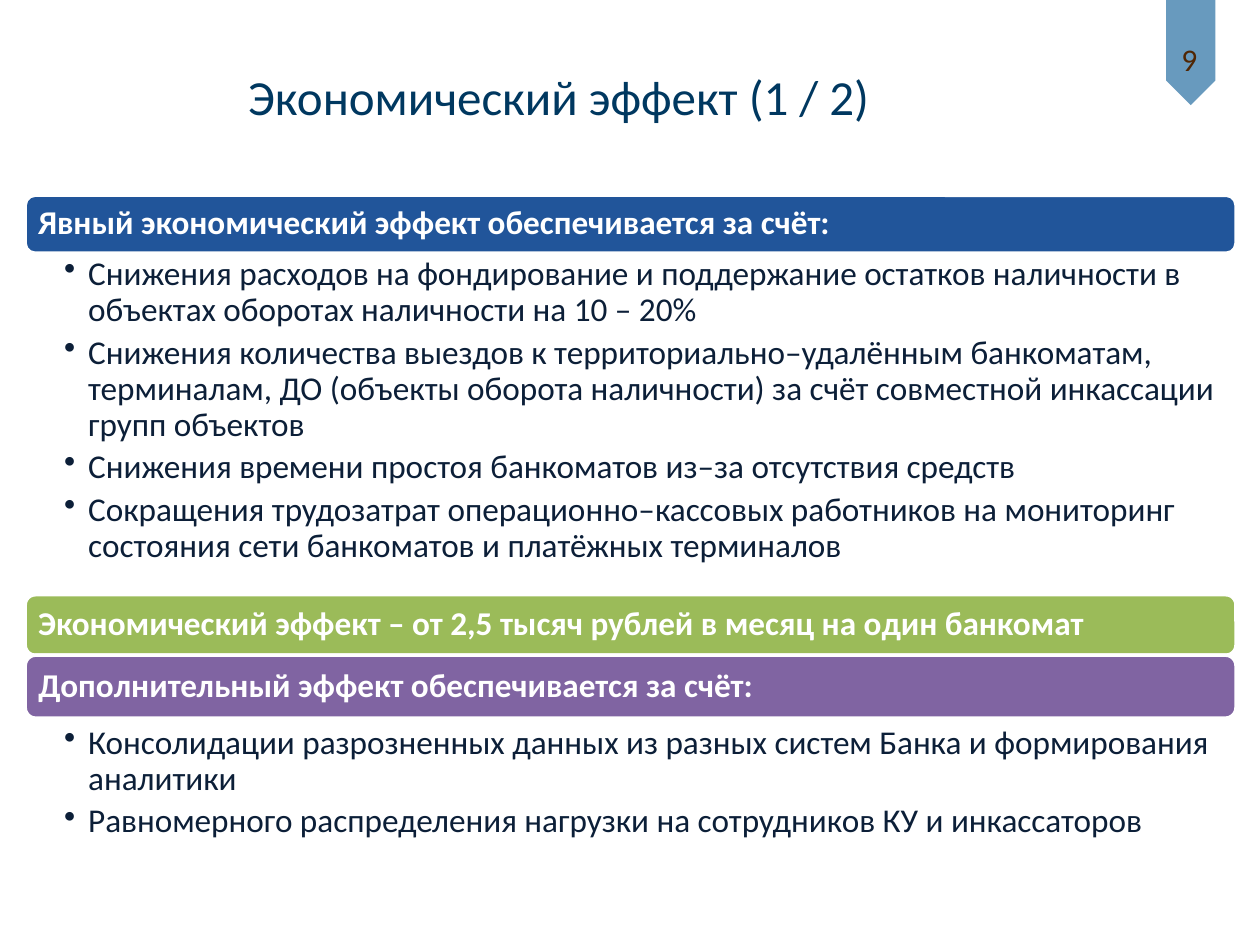
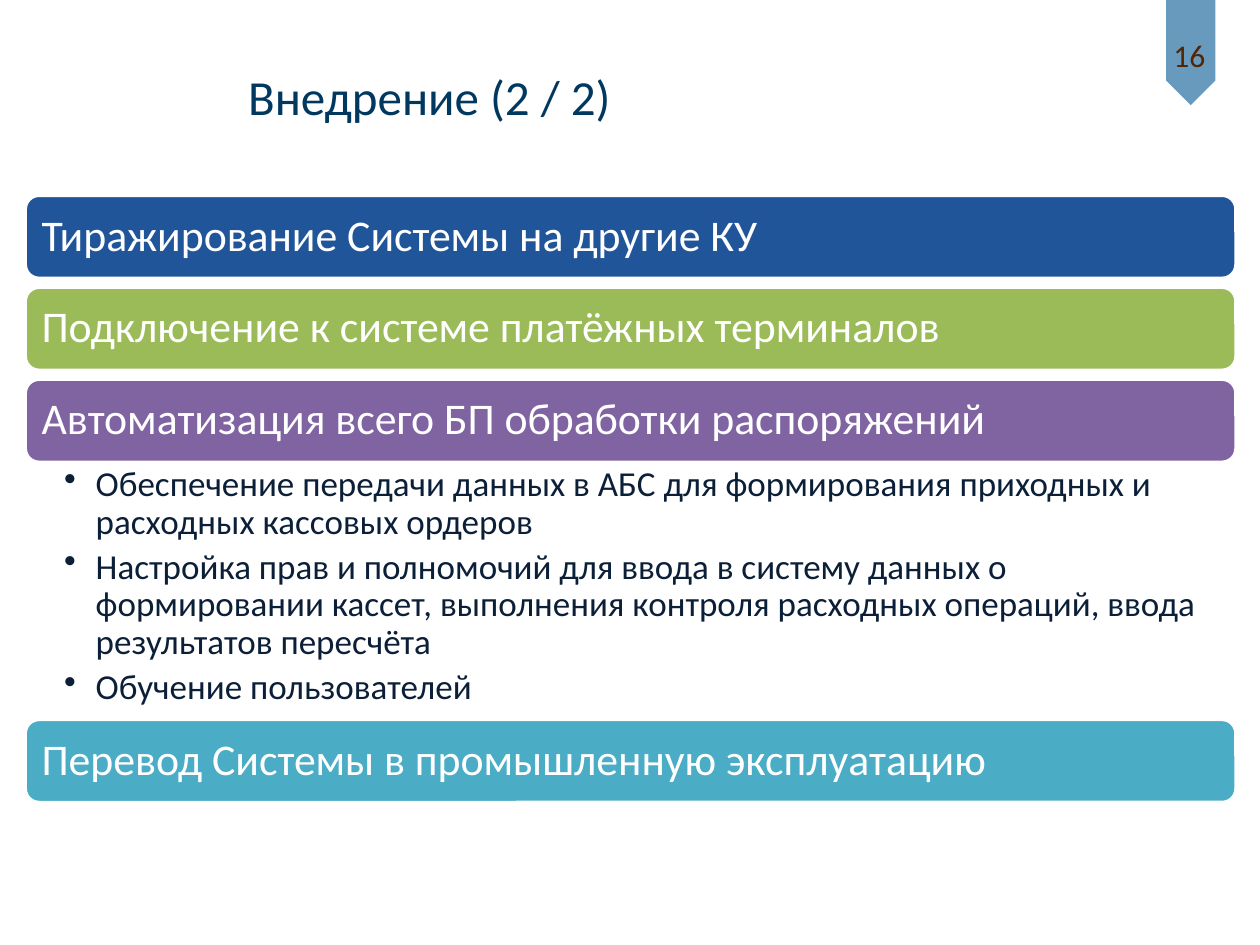
from dataclasses import dataclass

from lxml import etree
from pptx import Presentation
from pptx.dml.color import RGBColor
from pptx.enum.shapes import MSO_SHAPE
from pptx.enum.text import MSO_ANCHOR, PP_ALIGN
from pptx.oxml.ns import qn
from pptx.util import Inches, Pt

ROUNDED = MSO_SHAPE.ROUNDED_RECTANGLE
PENTAGON = MSO_SHAPE.PENTAGON
TOP, MIDDLE = MSO_ANCHOR.TOP, MSO_ANCHOR.MIDDLE
LEFT, CENTER = PP_ALIGN.LEFT, PP_ALIGN.CENTER


@dataclass(frozen=True)
class Theme:
    """Colours, type sizes and spacing shared by the slides."""
    font: str = "Calibri"
    title: str = "003860"
    body: str = "0C1F38"
    white: str = "FFFFFF"
    ribbon: str = "689ABE"
    number: str = "502604"
    blue: str = "21559A"
    green: str = "9BBB59"
    purple: str = "8064A2"
    teal: str = "4BACC6"
    title_size: int = 28
    number_size: int = 18
    line_spacing: float = 0.9
    bullet_gap: float = 0.2
    left: float = 0.2
    width: float = 9.61
    top: float = 1.55


@dataclass(frozen=True)
class ListStyle:
    """Type sizes and insets of the bars and bullets on one slide."""
    bar_size: int
    bar_bold: bool
    bar_inset: float
    bullet_size: int
    bullet_indent: float
    right_inset: float


@dataclass(frozen=True)
class Section:
    """A coloured bar, the gap below it and its bullets."""
    color: str
    heading: str
    height: float
    gap: float = 0
    bullets: tuple = ()
    bullets_height: float = 0


THEME = Theme()
COMPACT = ListStyle(19, True, 0.08, 19, 0.19, 0.15)
LARGE = ListStyle(25, False, 0.1, 20, 0.25, 0.19)

EFFECT_SECTIONS = (
    Section(THEME.blue, "Явный экономический эффект обеспечивается за счёт:", 0.46, 0, (
        "Снижения расходов на фондирование и поддержание остатков наличности в "
        "объектах оборотах наличности на 10 – 20%",
        "Снижения количества выездов к территориально–удалённым банкоматам, "
        "терминалам, ДО (объекты оборота наличности) за счёт совместной инкассации "
        "групп объектов",
        "Снижения времени простоя банкоматов из–за отсутствия средств",
        "Сокращения трудозатрат операционно–кассовых работников на мониторинг "
        "состояния сети банкоматов и платёжных терминалов",
    ), 2.71),
    Section(THEME.green,
            "Экономический эффект – от 2,5 тысяч рублей в месяц на один банкомат", 0.48),
    Section(THEME.purple, "Дополнительный эффект обеспечивается за счёт:", 0.5, 0.03, (
        "Консолидации разрозненных данных из разных систем Банка и формирования "
        "аналитики",
        "Равномерного распределения нагрузки на сотрудников КУ и инкассаторов",
    ), 1),
)

ROLLOUT_SECTIONS = (
    Section(THEME.blue, "Тиражирование Системы на другие КУ", 0.66, 0.07),
    Section(THEME.green, "Подключение к системе платёжных терминалов", 0.66, 0.07),
    Section(THEME.purple, "Автоматизация всего БП обработки распоряжений", 0.66, 0, (
        "Обеспечение передачи данных в АБС для формирования приходных и "
        "расходных кассовых ордеров",
        "Настройка прав и полномочий для ввода в систему данных о "
        "формировании кассет, выполнения контроля расходных операций, ввода "
        "результатов пересчёта",
        "Обучение пользователей",
    ), 2.04),
    Section(THEME.teal, "Перевод Системы в промышленную эксплуатацию", 0.66),
)


def set_frame(shape, insets, anchor):
    """Wrap the text and set its left, top, right and bottom insets."""
    frame = shape.text_frame
    frame.word_wrap = True
    frame.vertical_anchor = anchor
    frame.margin_left, frame.margin_top, frame.margin_right, frame.margin_bottom = map(
        Inches, insets)
    return frame


def write(para, text, size, color, bold=False, align=LEFT):
    """Fill a paragraph and format its runs."""
    para.text = text
    para.alignment = align
    for span in para.runs:
        span.font.name = THEME.font
        span.font.size = Pt(size)
        span.font.bold = bold
        span.font.color.rgb = RGBColor.from_string(color)


def add_box(page, left, top, width, height, insets, anchor=TOP):
    """Add a text box and return its text frame."""
    box = page.shapes.add_textbox(*map(Inches, (left, top, width, height)))
    return set_frame(box, insets, anchor)


def add_filled(page, kind, left, top, width, height, color):
    """Add a preset shape with a plain fill and no shadow."""
    shape = page.shapes.add_shape(kind, *map(Inches, (left, top, width, height)))
    shape.shadow.inherit = False
    shape.fill.solid()
    shape.fill.fore_color.rgb = RGBColor.from_string(color)
    return shape


def add_header(page, title, number, number_top):
    """Add the page ribbon, the title and the page number."""
    ribbon = add_filled(page, PENTAGON, 9.03, 0.22, 0.84, 0.39, THEME.ribbon)
    ribbon.rotation = 90
    ribbon.line.fill.background()
    frame = add_box(page, 0, 0.21, 10, 1.1, (1.97, 0.05, 0.39, 0.05), MIDDLE)
    write(frame.paragraphs[0], title, THEME.title_size, THEME.title)
    frame = add_box(page, 9.17, number_top, 0.54, 0.4, (0.1, 0.05, 0.1, 0.05))
    write(frame.paragraphs[0], number, THEME.number_size, THEME.number, align=CENTER)


def add_bar(page, section, top, style):
    """Add a rounded bar with its heading."""
    bar = add_filled(page, ROUNDED, THEME.left, top, THEME.width, section.height,
                     section.color)
    bar.line.color.rgb = RGBColor.from_string(THEME.white)
    bar.line.width = Pt(2)
    para = set_frame(bar, (style.bar_inset,) * 4, MIDDLE).paragraphs[0]
    para.line_spacing = THEME.line_spacing
    write(para, section.heading, style.bar_size, THEME.white, style.bar_bold)


def set_bullet(para, indent):
    """Give a paragraph a round bullet with a hanging indent."""
    properties = para._p.get_or_add_pPr()
    properties.set("marL", str(Inches(indent)))
    properties.set("indent", str(-Inches(indent)))
    etree.SubElement(properties, qn("a:buChar")).set("char", "•")


def add_bullets(page, section, top, style):
    """Add the bulleted text that belongs to a bar."""
    frame = add_box(page, THEME.left, top, THEME.width, section.bullets_height,
                    (0.31, 0.03, style.right_inset, 0.03))
    for index, text in enumerate(section.bullets):
        para = frame.add_paragraph() if index else frame.paragraphs[0]
        set_bullet(para, style.bullet_indent)
        para.line_spacing = THEME.line_spacing
        para.space_after = Pt(THEME.bullet_gap * style.bullet_size)
        write(para, text, style.bullet_size, THEME.body)


def add_sections(page, sections, style):
    """Stack the sections from the top of the content area."""
    top = THEME.top
    for section in sections:
        add_bar(page, section, top, style)
        top += section.height + section.gap
        if section.bullets:
            add_bullets(page, section, top, style)
            top += section.bullets_height


def main():
    """Build and save the two slides."""
    deck = Presentation()
    deck.slide_width, deck.slide_height = Inches(10), Inches(7.5)
    pages = (
        ("Экономический эффект (1 / 2)", "9", 0.27, EFFECT_SECTIONS, COMPACT),
        ("Внедрение (2 / 2)", "16", 0.24, ROLLOUT_SECTIONS, LARGE),
    )
    for title, number, number_top, sections, style in pages:
        page = deck.slides.add_slide(deck.slide_layouts[6])
        add_header(page, title, number, number_top)
        add_sections(page, sections, style)
    deck.save("out.pptx")


if __name__ == "__main__":
    main()
